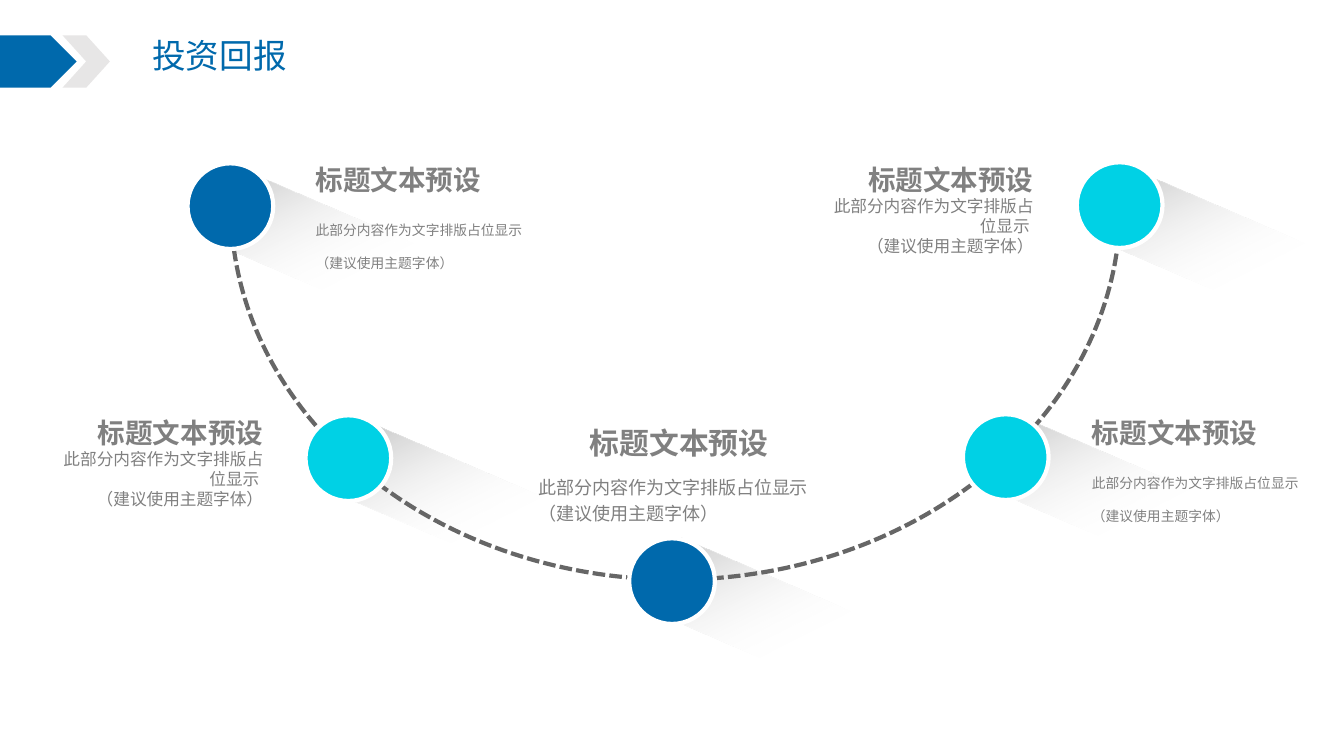
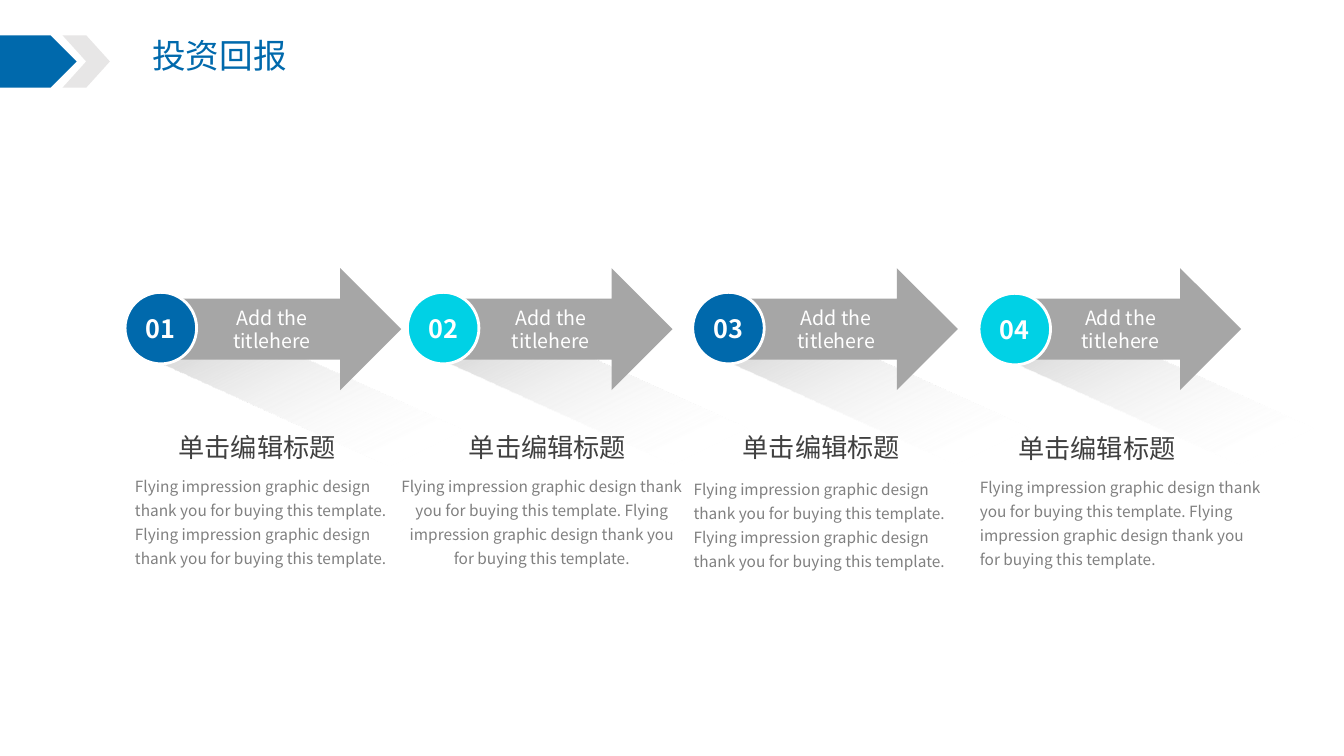
from dataclasses import dataclass

from lxml.etree import SubElement
from pptx import Presentation
from pptx.dml.color import RGBColor
from pptx.enum.dml import MSO_LINE_DASH_STYLE as DASH
from pptx.enum.shapes import MSO_SHAPE as SHAPE
from pptx.enum.text import MSO_ANCHOR as ANCHOR, MSO_AUTO_SIZE as FIT, PP_ALIGN as ALIGN
from pptx.oxml import parse_xml
from pptx.oxml.ns import nsdecls, qn
from pptx.util import Emu, Pt

PX = 9144
FONT = "Noto Sans CJK SC"
BLUE, CYAN, WHITE = "0069AC", "00D1E5", "FFFFFF"
PALE, SILVER, GREY, DASH_GREY, DARK = "E7E6E6", "A6A6A6", "808080", "666666", "404040"
SHADOW_FILL = (
    f'<a:gradFill {nsdecls("a")} rotWithShape="1"><a:gsLst>'
    '<a:gs pos="0"><a:srgbClr val="23A9FF"><a:alpha val="54000"/></a:srgbClr></a:gs>'
    '<a:gs pos="0"><a:srgbClr val="BFBFBF"/></a:gs>'
    '<a:gs pos="54000"><a:srgbClr val="FFFFFF"><a:alpha val="0"/></a:srgbClr></a:gs>'
    '</a:gsLst><a:lin ang="2400000" scaled="0"/></a:gradFill>'
)
PAGE_TITLE = "投资回报"
POINT_HEADING = "标题文本预设"
POINT_DETAIL = "此部分内容作为文字排版占位显示 \n（建议使用主题字体）"
STEP_LABEL = "Add the titlehere"
STEP_HEADING = "单击编辑标题"
STEP_DETAIL = " ".join(["Flying impression graphic design thank you for buying this template."] * 2)


@dataclass
class Step:
    """One arrow column: badge corner and the left and width of each part relative to it."""
    number: str
    left: int
    top: int
    color: str
    shadow: tuple
    arrow: tuple
    heading: tuple
    detail: tuple
    align: ALIGN = ALIGN.LEFT


DISCS = [(186, 162, BLUE), (303, 412, CYAN), (624, 534, BLUE), (955, 411, CYAN), (1068, 161, CYAN)]
DISC_SHADOWS = [(1098, 220), (984, 464), (648, 585), (342, 471), (214, 220)]
ARC_DEGREES = [(324, 0), (270.5, 322), (218.5, 269.4), (179.7, 217.5)]
STEPS = [
    Step("01", 124, 290, BLUE, (6, 403), (17, 257), (13, 236, 423), (0, 292, 463)),
    Step("02", 404, 290, CYAN, (7, 401), (21, 242), (12, 254, 423), (-18, 303, 463), ALIGN.CENTER),
    Step("03", 687, 290, BLUE, (4, 401), (21, 242), (5, 245, 423), (-9, 298, 466)),
    Step("04", 971, 291, CYAN, (1, 401), (20, 240), (-3, 240, 424), (-9, 304, 464)),
]


def rgb(color):
    """Turn a hex string into a colour."""
    return RGBColor.from_string(color)


def emu(*lengths):
    """Turn px into EMU."""
    return [Emu(length * PX) for length in lengths]


def write(holder, text, size, color, align=ALIGN.LEFT, anchor=ANCHOR.TOP,
          insets=(10, 5, 10, 5), bold=False, spacing=1.0):
    """Fill a shape, box or placeholder with formatted text."""
    frame = holder.text_frame
    frame.text = text
    frame.word_wrap = True
    frame.auto_size = FIT.NONE
    frame.vertical_anchor = anchor
    frame.margin_left, frame.margin_top, frame.margin_right, frame.margin_bottom = emu(*insets)
    for paragraph in frame.paragraphs:
        paragraph.alignment = align
        paragraph.line_spacing = spacing
        for run in paragraph.runs:
            run.font.size = Pt(size)
            run.font.bold = bold
            run.font.color.rgb = rgb(color)
            run.font.name = FONT
            SubElement(run.font._element, qn("a:ea")).set("typeface", FONT)


def add_text(slide, box, text, size, color, **style):
    """Add a text box."""
    write(slide.shapes.add_textbox(*emu(*box)), text, size, color, **style)


def add_preset(slide, kind, box, fill=None, line=None, weight=0):
    """Add a flat preset shape."""
    shape = slide.shapes.add_shape(kind, *emu(*box))
    shape.shadow.inherit = False
    if fill:
        shape.fill.solid()
        shape.fill.fore_color.rgb = rgb(fill)
    else:
        shape.fill.background()
    if line:
        shape.line.color.rgb = rgb(line)
        shape.line.width = Pt(weight)
    else:
        shape.line.fill.background()
    return shape


def add_shadow(slide, box, rotation):
    """Add a long fading shadow."""
    shadow = add_preset(slide, SHAPE.RECTANGLE, box)
    shadow.rotation = rotation
    properties = shadow._element.spPr
    properties.replace(properties.find(qn("a:noFill")), parse_xml(SHADOW_FILL))


def add_page(deck):
    """Add a slide with the shared title and header marks."""
    slide = deck.slides.add_slide(deck.slide_layouts[5])
    title = slide.shapes.title
    title.left, title.top, title.width, title.height = emu(141, 30, 155, 50)
    write(title, PAGE_TITLE, 24, BLUE)
    add_preset(slide, SHAPE.PENTAGON, (0, 35, 76, 52), BLUE)
    add_preset(slide, SHAPE.CHEVRON, (62, 35, 47, 52), PALE)
    return slide


def add_arcs(slide, box):
    """Draw the dashed half ring that links the discs."""
    for start, end in ARC_DEGREES:
        arc = add_preset(slide, SHAPE.ARC, box, line=DASH_GREY, weight=3)
        arc.rotation = 180
        arc.adjustments[0], arc.adjustments[1] = start * 0.6, end * 0.6
        arc.line.dash_style = DASH.SQUARE_DOT


def add_side_point(slide, left, top, align):
    """Write a heading and detail beside a disc."""
    if align == ALIGN.RIGHT:
        anchors, heading_insets, detail_insets = (ANCHOR.MIDDLE,) * 2, (0, 0, 42, 0), (0, 0, 42, 0)
        size, spacing = 11.9, 1.0
    else:
        anchors, heading_insets, detail_insets = (ANCHOR.BOTTOM, ANCHOR.TOP), (42, 0, 0, 0), (42, 10, 0, 0)
        size, spacing = 9.8, 2.0
    add_text(slide, (left, top, 247, 32), POINT_HEADING, 19.7, GREY, align=align,
             anchor=anchors[0], insets=heading_insets, bold=True)
    add_text(slide, (left, top + 32, 247, 61), POINT_DETAIL, size, GREY, align=align,
             anchor=anchors[1], insets=detail_insets, spacing=spacing)


def add_center_point(slide, left, top):
    """Write the heading and detail above the lowest disc."""
    add_text(slide, (left, top, 279, 42), POINT_HEADING, 21.3, GREY, align=ALIGN.CENTER,
             anchor=ANCHOR.BOTTOM, insets=(0, 0, 0, 0), bold=True)
    add_text(slide, (left, top + 43, 279, 76), POINT_DETAIL, 12.9, GREY,
             insets=(0, 10, 0, 0), spacing=1.2)


def build_ring(deck):
    """Build the slide with five discs on a half ring."""
    slide = add_page(deck)
    for left, top in DISC_SHADOWS:
        add_shadow(slide, (left, top, 275, 78), 23.3)
    add_arcs(slide, (229, -167, 882, 742))
    for left, top, color in DISCS:
        add_preset(slide, SHAPE.OVAL, (left, top, 85, 85), color, WHITE, 3)
    add_center_point(slide, 534, 415)
    for left, top, align in [(1041, 413, ALIGN.LEFT), (56, 413, ALIGN.RIGHT),
                             (271, 162, ALIGN.LEFT), (820, 162, ALIGN.RIGHT)]:
        add_side_point(slide, left, top, align)


def add_step(slide, step):
    """Add one arrow with its badge, heading and detail."""
    offset, width = step.arrow
    arrow = add_preset(slide, SHAPE.RIGHT_ARROW, (step.left + offset, 266, width, 121), SILVER)
    write(arrow, STEP_LABEL, 14, WHITE, align=ALIGN.CENTER, anchor=ANCHOR.MIDDLE,
          insets=(59, 0, 28, 0))
    badge = add_preset(slide, SHAPE.OVAL, (step.left, step.top, 71, 71), step.color, WHITE, 2)
    write(badge, step.number, 18, WHITE, align=ALIGN.CENTER, anchor=ANCHOR.MIDDLE,
          insets=(0, 0, 0, 0), bold=True)
    offset, width, top = step.heading
    add_text(slide, (step.left + offset, top, width, 41), STEP_HEADING, 18.7, DARK,
             align=ALIGN.CENTER)
    offset, width, top = step.detail
    add_text(slide, (step.left + offset, top, width, 130), STEP_DETAIL, 11, GREY,
             align=step.align, spacing=1.3)


def build_steps(deck):
    """Build the slide with four numbered arrows."""
    slide = add_page(deck)
    for step in STEPS:
        offset, top = step.shadow
        add_shadow(slide, (step.left + offset, top, 543, 63), 24.2)
    for step in STEPS:
        add_step(slide, step)


def main():
    """Build and save the deck."""
    deck = Presentation()
    deck.slide_width, deck.slide_height = emu(1333, 750)
    build_ring(deck)
    build_steps(deck)
    deck.save("out.pptx")


if __name__ == "__main__":
    main()
